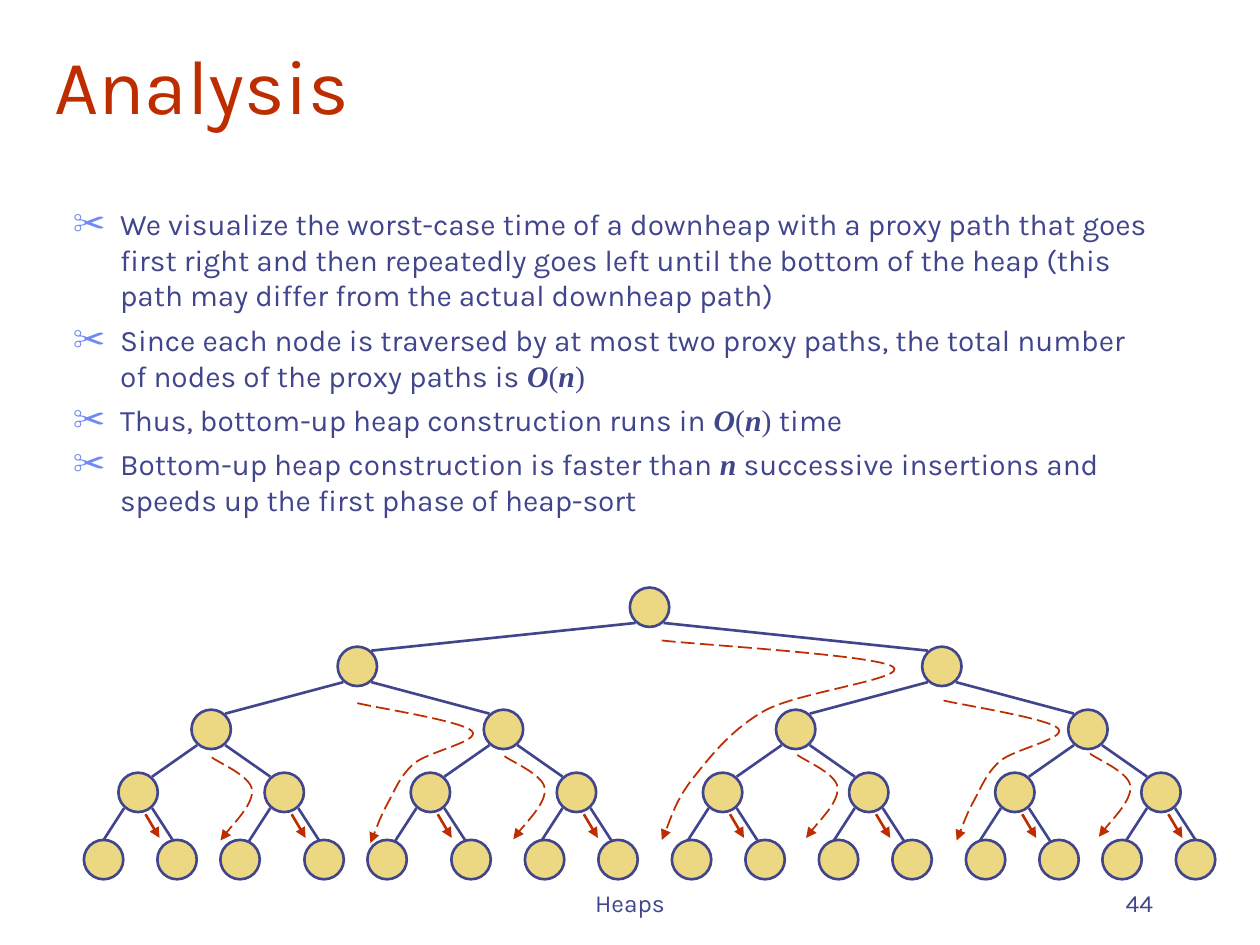
from dataclasses import dataclass
from typing import NamedTuple

from lxml.etree import SubElement
from pptx import Presentation
from pptx.dml.color import RGBColor
from pptx.enum.dml import MSO_LINE_DASH_STYLE as Dash
from pptx.enum.shapes import MSO_CONNECTOR as Connector
from pptx.enum.shapes import MSO_SHAPE as Preset
from pptx.enum.text import MSO_ANCHOR as Anchor
from pptx.enum.text import PP_ALIGN as Align
from pptx.oxml.ns import qn
from pptx.util import Pt

INDIGO = RGBColor(0x40, 0x45, 0x8C)
RUST = RGBColor(0xBE, 0x2D, 0x00)
SAND = RGBColor(0xEC, 0xD8, 0x82)
PERIWINKLE = RGBColor(0x6F, 0x89, 0xF7)

SANS = {"name": "Karla", "bold": False, "italic": False}
SYMBOL = {"name": "Times New Roman", "bold": False, "italic": False}
VARIABLE = {"name": "Times New Roman", "bold": True, "italic": True}


class Point(NamedTuple):
    x: float
    y: float

    def shifted(self, dx: float, dy: float) -> "Point":
        return Point(self.x + dx, self.y + dy)


class TextRun(NamedTuple):
    text: str
    style: dict


@dataclass(frozen=True)
class TextBlock:
    left: float
    top: float
    width: float
    height: float
    paragraphs: list[list[TextRun]]
    size: float
    color: RGBColor = INDIGO
    align: Align = Align.LEFT
    anchor: Anchor = Anchor.BOTTOM
    bulleted: bool = False


@dataclass(frozen=True)
class Stroke:
    color: RGBColor
    width: float
    dash: Dash = Dash.SOLID
    arrow: bool = False


@dataclass(frozen=True)
class ProxyPath:
    offset: Point
    drift: Point
    bends: list[tuple[float, float]]


EDGE = Stroke(INDIGO, 1.5)
PROXY_CURVE = Stroke(RUST, 1, Dash.LONG_DASH, True)
PROXY_ARROW = Stroke(RUST, 1.5, Dash.LONG_DASH, True)

BIG_O = [TextRun("O", VARIABLE), TextRun("(", SYMBOL), TextRun("n", VARIABLE)]
BULLETS = [
    [TextRun("We visualize the worst-case time of a downheap with a proxy path that goes "
             "first right and then repeatedly goes left until the bottom of the heap (this "
             "path may differ from the actual downheap path)", SANS)],
    [TextRun("Since each node is traversed by at most two proxy paths, the total number "
             "of nodes of the proxy paths is ", SANS), *BIG_O, TextRun(")", SYMBOL)],
    [TextRun("Thus, bottom-up heap construction runs in ", SANS), *BIG_O,
     TextRun(") ", SYMBOL), TextRun("time", SANS)],
    [TextRun("Bottom-up heap construction is faster than ", SANS), TextRun("n", VARIABLE),
     TextRun(" successive insertions and speeds up the first phase of heap-sort", SANS)],
]
BULLET_INDENT = Pt(27)
BLOCKS = [
    TextBlock(246, 492, 228, 36, [[TextRun("Heaps", SANS)]], 14, align=Align.CENTER),
    TextBlock(516, 492, 150, 36, [[TextRun("44", SANS)]], 14, align=Align.RIGHT),
    TextBlock(24, 12, 684, 66, [[TextRun("Analysis", SANS)]], 44, RUST),
    TextBlock(34.5, 114, 630, 222, BULLETS, 17, anchor=Anchor.TOP, bulleted=True),
]

NODE_SIZE = 22.5
ROOT = Point(371.2, 347)
INNER_LEVELS = 3
FIRST_LEVEL_Y = 380.8
LEVEL_STEP = 36
FIRST_SPREAD = 167
SIDES = (-1, 1)
EDGE_DX, EDGE_DY = 8, 9
LEAF_EDGE_END = Point(20.6, 28.5)

FIRST_LEAF = Point(59.2, 491.2)
LEAF_COUNT = 16
LEAF_STEP = 42
LEAF_NUDGE = -6
NUDGED_LEAVES = {2, 4, 14, 15}

PROXY_BY_LEVEL = [
    ProxyPath(Point(7, 19), Point(0, 0),
              [(0, 0), (132, 15), (59, 40), (18, 78.5), (0, 114)]),
    ProxyPath(Point(0, 21), Point(1, -1.5),
              [(0, 0), (65.5, 16), (32.5, 34.5), (17.5, 57), (7.5, 80)]),
    ProxyPath(Point(0.3, 16), Point(0.3, -0.7),
              [(0, 0), (23, 18.5), (5, 47.5)]),
]
ARROW_START, ARROW_END = Point(4.2, 12.5), Point(12.2, 26)


def apply_stroke(shape, stroke: Stroke) -> None:
    shape.line.color.rgb = stroke.color
    shape.line.width = Pt(stroke.width)
    shape.line.dash_style = stroke.dash
    if stroke.arrow:
        outline = shape._element.spPr.find(qn("a:ln"))
        SubElement(outline, qn("a:tailEnd"), type="triangle")


def add_bullet(paragraph) -> None:
    properties = paragraph._p.get_or_add_pPr()
    properties.set("marL", str(BULLET_INDENT))
    properties.set("indent", str(-BULLET_INDENT))
    color = SubElement(properties, qn("a:buClr"))
    SubElement(color, qn("a:srgbClr"), val=str(PERIWINKLE))
    SubElement(properties, qn("a:buSzPct"), val="110000")
    SubElement(properties, qn("a:buFont"), typeface=SANS["name"])
    SubElement(properties, qn("a:buChar"), char="✂")


def draw_text(slide, block: TextBlock) -> None:
    bounds = (block.left, block.top, block.width, block.height)
    frame = slide.shapes.add_textbox(*map(Pt, bounds)).text_frame
    frame.word_wrap = True
    frame.vertical_anchor = block.anchor
    for index, runs in enumerate(block.paragraphs):
        paragraph = frame.add_paragraph() if index else frame.paragraphs[0]
        paragraph.alignment = block.align
        if block.bulleted:
            paragraph.space_before = Pt(5)
            add_bullet(paragraph)
        for text, style in runs:
            run = paragraph.add_run()
            run.text = text
            run.font.color.rgb = block.color
            for attribute, value in {"size": Pt(block.size), **style}.items():
                setattr(run.font, attribute, value)


def draw_line(slide, start: Point, end: Point, stroke: Stroke) -> None:
    connector = slide.shapes.add_connector(Connector.STRAIGHT, *map(Pt, (*start, *end)))
    apply_stroke(connector, stroke)
    SubElement(connector._element.spPr, qn("a:effectLst"))


def draw_node(slide, center: Point) -> None:
    corner = center.shifted(-NODE_SIZE / 2, -NODE_SIZE / 2)
    node = slide.shapes.add_shape(Preset.OVAL, *map(Pt, (*corner, NODE_SIZE, NODE_SIZE)))
    node.shadow.inherit = False
    node.fill.solid()
    node.fill.fore_color.rgb = SAND
    apply_stroke(node, EDGE)


def smooth_curve(bends: list[Point]) -> list[Point]:
    padded = [bends[0], *bends, bends[-1]]
    curve = []
    for before, start, end, after in zip(padded, padded[1:], padded[2:], padded[3:]):
        curve += [start.shifted((end.x - before.x) / 6, (end.y - before.y) / 6),
                  end.shifted((start.x - after.x) / 6, (start.y - after.y) / 6),
                  end]
    return curve


def draw_curve(slide, bends: list[Point], stroke: Stroke) -> None:
    builder = slide.shapes.build_freeform(*map(Pt, bends[0]))
    builder.add_line_segments([(Pt(x), Pt(y)) for x, y in smooth_curve(bends)], close=False)
    shape = builder.convert_to_shape()
    shape.shadow.inherit = False
    shape.fill.background()
    apply_stroke(shape, stroke)
    outline = shape._element.xpath(".//a:path")[0]
    segments = outline.findall(qn("a:lnTo"))
    for first in range(0, len(segments), 3):
        bezier = SubElement(outline, qn("a:cubicBezTo"))
        for segment in segments[first:first + 3]:
            bezier.append(segment[0])
            outline.remove(segment)


def inner_levels() -> list[list[Point]]:
    levels = [[ROOT]]
    for depth in range(INNER_LEVELS):
        spread = FIRST_SPREAD / 2 ** depth
        y = FIRST_LEVEL_Y + depth * LEVEL_STEP
        levels.append([Point(parent.x + side * spread, y)
                       for parent in levels[-1] for side in SIDES])
    return levels


def leaf_centers() -> list[Point]:
    return [FIRST_LEAF.shifted(index * LEAF_STEP + LEAF_NUDGE * (index in NUDGED_LEAVES), 0)
            for index in range(LEAF_COUNT)]


def draw_edges(slide, levels: list[list[Point]]) -> None:
    for parents, children in zip(levels, levels[1:]):
        for index, child in enumerate(children):
            side = SIDES[index % 2]
            draw_line(slide, parents[index // 2].shifted(side * EDGE_DX, EDGE_DY),
                      child.shifted(-side * EDGE_DX, -EDGE_DY), EDGE)
    for parent in levels[-1]:
        for side in SIDES:
            draw_line(slide, parent.shifted(side * EDGE_DX, EDGE_DY),
                      parent.shifted(side * LEAF_EDGE_END.x, LEAF_EDGE_END.y), EDGE)


def draw_proxy_paths(slide, levels: list[list[Point]]) -> None:
    for proxy, nodes in zip(PROXY_BY_LEVEL, levels):
        for index, node in enumerate(nodes):
            start = node.shifted(*proxy.offset).shifted(
                index * proxy.drift.x, index * proxy.drift.y)
            draw_curve(slide, [start.shifted(*bend) for bend in proxy.bends], PROXY_CURVE)
    for node in levels[-1]:
        draw_line(slide, node.shifted(*ARROW_START), node.shifted(*ARROW_END), PROXY_ARROW)


def main() -> None:
    presentation = Presentation()
    presentation.slide_width, presentation.slide_height = Pt(720), Pt(540)
    slide = presentation.slides.add_slide(presentation.slide_layouts[6])
    for block in BLOCKS:
        draw_text(slide, block)
    levels = inner_levels()
    draw_edges(slide, levels)
    for center in sum(levels, []):
        draw_node(slide, center)
    draw_proxy_paths(slide, levels)
    for center in leaf_centers():
        draw_node(slide, center)
    presentation.save("out.pptx")


if __name__ == "__main__":
    main()
